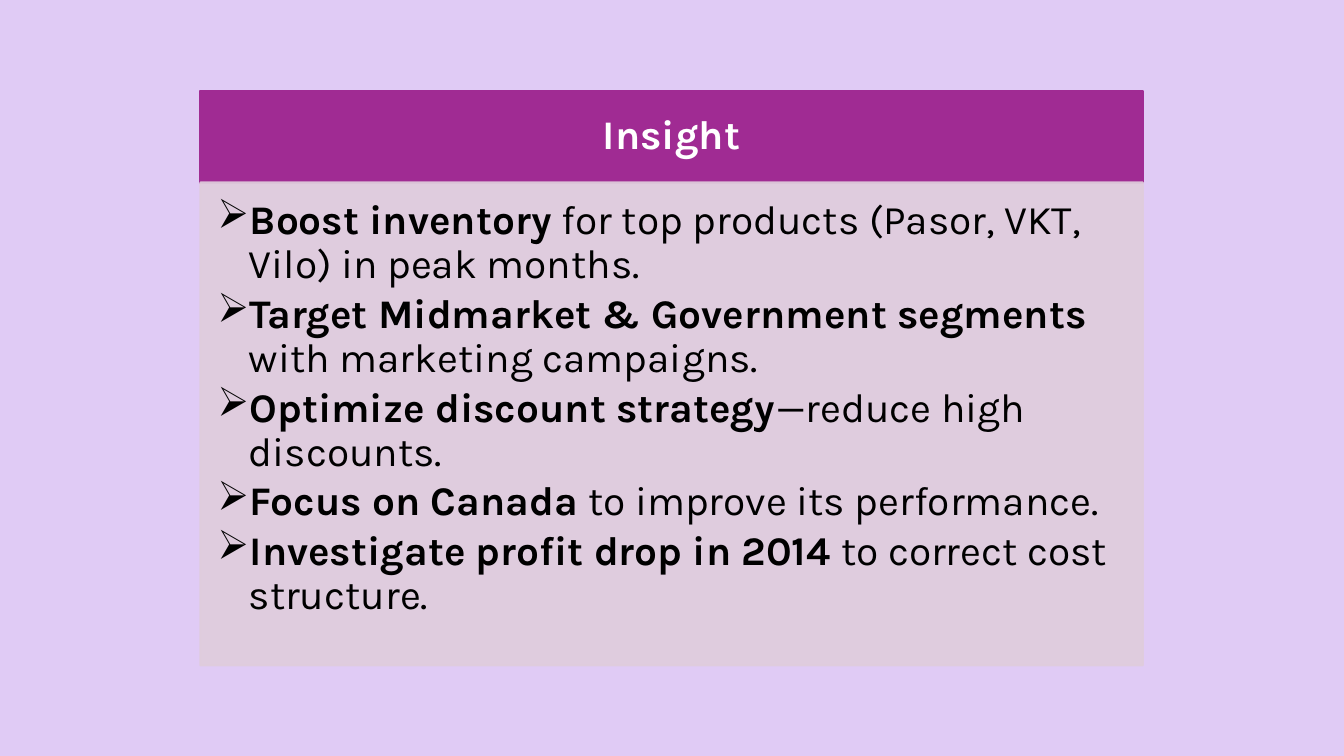
from dataclasses import dataclass

import lxml.etree
import pptx
import pptx.dml.color
import pptx.enum.shapes
import pptx.enum.text
import pptx.oxml.ns
import pptx.shapes.autoshape
import pptx.slide
import pptx.text.text
import pptx.util

Cm, Pt = pptx.util.Cm, pptx.util.Pt
rgb = pptx.dml.color.RGBColor.from_string
qn = pptx.oxml.ns.qn
ALIGN = pptx.enum.text.PP_ALIGN
ANCHOR = pptx.enum.text.MSO_ANCHOR


@dataclass(frozen=True)
class Theme:
    background: str = "E0CBF5"
    header: str = "A02B93"
    body: str = "DFCDDC"
    header_text: str = "FFFFFF"
    body_text: str = "000000"
    font: str = "Karla"
    size: float = 29
    line_width: float = 1.5


@dataclass(frozen=True)
class Panel:
    top: float
    height: float
    color: str
    opacity: int
    anchor: ANCHOR
    insets: tuple[float, float, float, float]


@dataclass(frozen=True)
class Insight:
    action: str
    detail: str


THEME = Theme()
LEFT, WIDTH = 5.05, 23.75
HEADER = Panel(2.29, 2.31, THEME.header, 100, ANCHOR.MIDDLE, (0.58, 0.33, 0.58, 0.33))
BODY = Panel(4.6, 12.17, THEME.body, 90, ANCHOR.TOP, (0.43, 0.43, 0.58, 0.64))
BULLET_INDENT = Cm(0.79)
INSIGHTS = [
    Insight("Boost inventory", " for top products (Pasor, VKT, Vilo) in peak months."),
    Insight("Target Midmarket & Government segments", " with marketing campaigns."),
    Insight("Optimize discount strategy", "—reduce high discounts."),
    Insight("Focus on Canada", " to improve its performance."),
    Insight("Investigate profit drop in 2014", " to correct cost structure."),
]


def add_panel(s: pptx.slide.Slide, panel: Panel) -> pptx.text.text.TextFrame:
    """Draw a filled panel and return its text frame."""
    sp = s.shapes.add_shape(pptx.enum.shapes.MSO_SHAPE.RECTANGLE,
                            Cm(LEFT), Cm(panel.top), Cm(WIDTH), Cm(panel.height))
    sp.shadow.inherit = False
    sp.fill.solid()
    sp.fill.fore_color.rgb = rgb(panel.color)
    sp.line.color.rgb = rgb(panel.color)
    sp.line.width = Pt(THEME.line_width)
    if panel.opacity < 100:
        set_opacity(sp, panel.opacity)
    tf = sp.text_frame
    tf.word_wrap = True
    tf.vertical_anchor = panel.anchor
    tf.margin_left, tf.margin_top, tf.margin_right, tf.margin_bottom = map(Cm, panel.insets)
    return tf


def set_opacity(sp: pptx.shapes.autoshape.Shape, percent: int) -> None:
    """Apply the opacity to both fill and outline."""
    for color in sp._element.spPr.iter(qn("a:srgbClr")):
        lxml.etree.SubElement(color, qn("a:alpha"), val=str(percent * 1000))


def add_text(p: pptx.text.text._Paragraph, text: str, *, color: str, bold: bool = False) -> None:
    r = p.add_run()
    r.text = text
    r.font.name = THEME.font
    r.font.size = Pt(THEME.size)
    r.font.bold = bold
    r.font.color.rgb = rgb(color)


def add_bullet(p: pptx.text.text._Paragraph) -> None:
    pPr = p._p.get_or_add_pPr()
    pPr.set("marL", str(BULLET_INDENT))
    pPr.set("indent", str(-BULLET_INDENT))
    lxml.etree.SubElement(pPr, qn("a:buChar"), char="➢")


def add_header(s: pptx.slide.Slide) -> None:
    p = add_panel(s, HEADER).paragraphs[0]
    p.alignment = ALIGN.CENTER
    p.line_spacing = 0.9
    add_text(p, "Insight", color=THEME.header_text, bold=True)


def add_insights(s: pptx.slide.Slide) -> None:
    tf = add_panel(s, BODY)
    for i, insight in enumerate(INSIGHTS):
        p = tf.add_paragraph() if i else tf.paragraphs[0]
        p.level = 1
        p.alignment = ALIGN.LEFT
        p.line_spacing = 0.9
        p.space_after = Pt(0.15 * THEME.size)
        add_bullet(p)
        add_text(p, insight.action, color=THEME.body_text, bold=True)
        add_text(p, insight.detail, color=THEME.body_text)


def main() -> None:
    prs = pptx.Presentation()
    prs.slide_width, prs.slide_height = Cm(33.87), Cm(19.05)
    s = prs.slides.add_slide(prs.slide_layouts[6])
    s.background.fill.solid()
    s.background.fill.fore_color.rgb = rgb(THEME.background)
    add_header(s)
    add_insights(s)
    prs.save("out.pptx")


if __name__ == "__main__":
    main()
